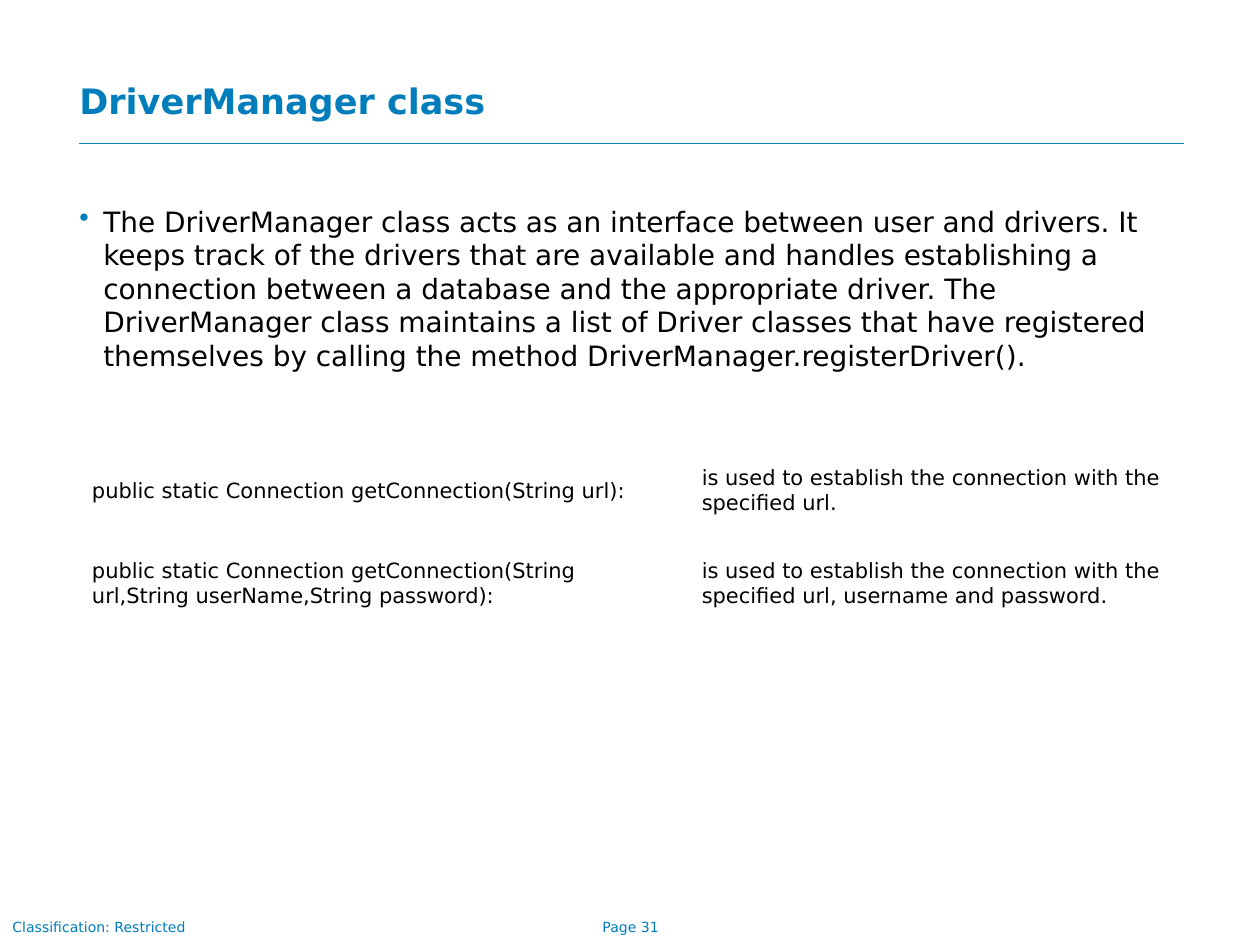
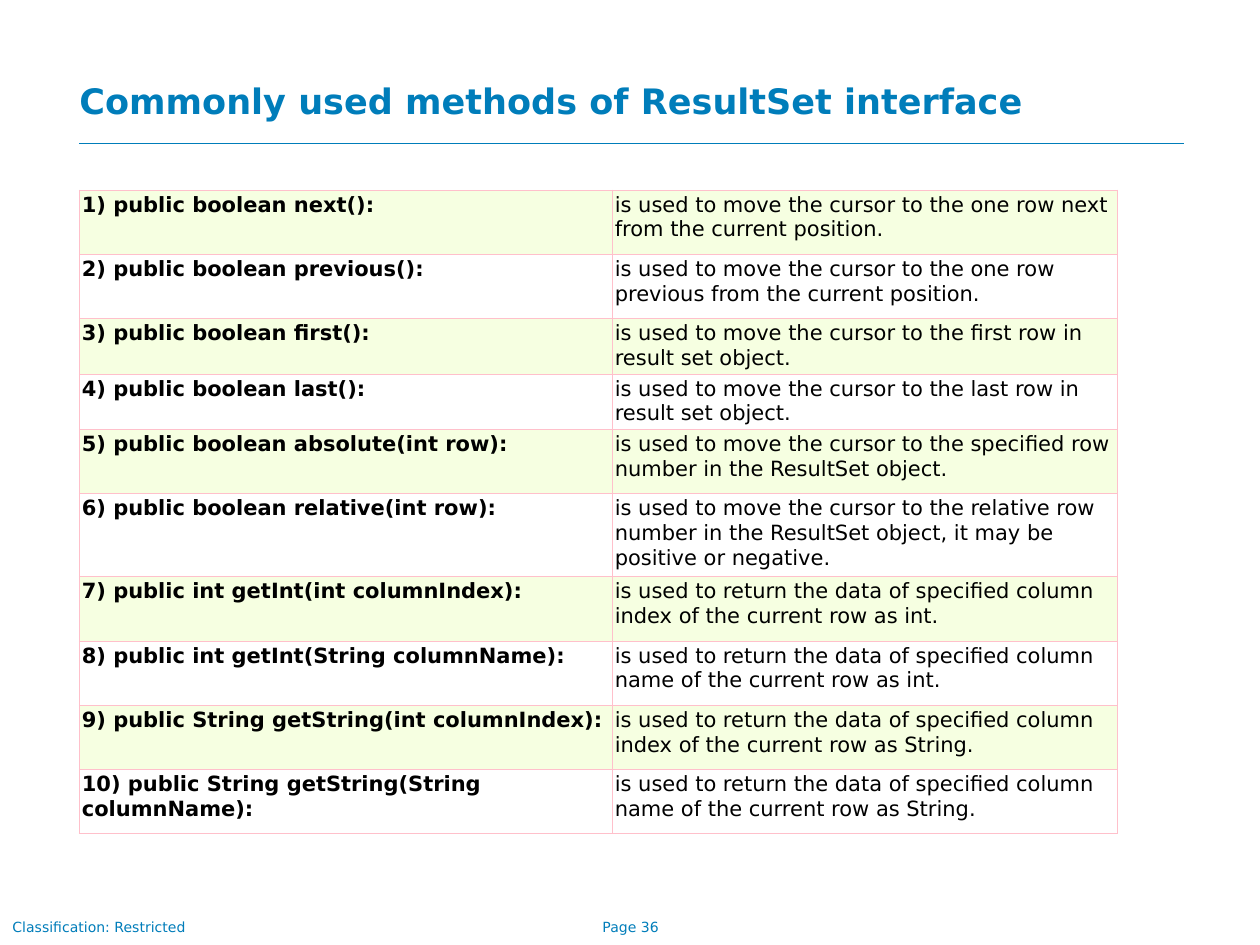
from lxml import etree
from pptx import Presentation
from pptx import util as u
from pptx.dml.color import RGBColor
from pptx.enum import shapes, text
from pptx.oxml.ns import qn

BLUE = RGBColor(0x00, 0x7D, 0xBA)
BLACK = RGBColor(0x00, 0x00, 0x00)
WHITE = RGBColor(0xFF, 0xFF, 0xFF)
LIME = RGBColor(0xF6, 0xFF, 0xE1)
PINK = RGBColor(0xFF, 0xC0, 0xCB)
FONT = "DejaVu Sans"
LEFT, WIDTH = 0.63, 8.78

DRIVER_TEXT = (
    "The DriverManager class acts as an interface between user and drivers. "
    "It keeps track of the drivers that are available and handles establishing "
    "a connection between a database and the appropriate driver. The "
    "DriverManager class maintains a list of Driver classes that have "
    "registered themselves by calling the method DriverManager.registerDriver()."
)
CONNECTION_METHODS = [
    ("public static Connection getConnection(String url):",
     "is used to establish the connection with the specified url."),
    ("public static Connection getConnection(String url,String userName,String password):",
     "is used to establish the connection with the specified url, username and password."),
]
# Signature, what it is used to do, row height
RESULTSET_METHODS = [
    ("boolean next()", "move the cursor to the one row next from the current position.", 0.51),
    ("boolean previous()", "move the cursor to the one row previous from the current position.", 0.51),
    ("boolean first()", "move the cursor to the first row in result set object.", 0.36),
    ("boolean last()", "move the cursor to the last row in result set object.", 0.36),
    ("boolean absolute(int row)",
     "move the cursor to the specified row number in the ResultSet object.", 0.51),
    ("boolean relative(int row)",
     "move the cursor to the relative row number in the ResultSet object, "
     "it may be positive or negative.", 0.66),
    ("int getInt(int columnIndex)",
     "return the data of specified column index of the current row as int.", 0.51),
    ("int getInt(String columnName)",
     "return the data of specified column name of the current row as int.", 0.51),
    ("String getString(int columnIndex)",
     "return the data of specified column index of the current row as String.", 0.51),
    ("String getString(String columnName)",
     "return the data of specified column name of the current row as String.", 0.51),
]


def write(tf, words, size=12, color=BLACK, bold=False, align=text.PP_ALIGN.LEFT):
    """Put formatted text in the first paragraph of a frame."""
    p = tf.paragraphs[0]
    p.alignment = align
    r = p.add_run()
    r.text = words
    r.font.name, r.font.size, r.font.bold = FONT, u.Pt(size), bold
    r.font.color.rgb = color
    return p


class Deck:
    def __init__(self):
        self.prs = Presentation()
        self.prs.slide_width, self.prs.slide_height = u.Inches(10), u.Inches(7.5)
        self.s = None

    def slide(self, title, page):
        """Start a slide with its rule, footers and title."""
        self.s = self.prs.slides.add_slide(self.prs.slide_layouts[6])
        self.rule(LEFT, 1.14, 9.4)
        self.box(4.3, 7.24, 1.41, 0.23, f"Page {page}", inset=(0.1, 0.05),
                 size=8, color=BLUE, align=text.PP_ALIGN.CENTER)
        self.box(0, 7.24, 1.58, 0.23, "Classification: Restricted",
                 inset=(0.1, 0.05), wrap=False, size=8, color=BLUE)
        self.box(LEFT, 0.63, WIDTH, 0.51, title, size=20, color=BLUE, bold=True)

    def rule(self, x1, y, x2):
        line = self.s.shapes.add_connector(
            shapes.MSO_CONNECTOR.STRAIGHT,
            u.Inches(x1), u.Inches(y), u.Inches(x2), u.Inches(y))
        line.line.color.rgb = BLUE
        line.line.width = u.Pt(0.5)
        etree.SubElement(line._element.spPr, qn("a:effectLst"))

    def box(self, x, y, w, h, words, inset=(0, 0), wrap=True, **style):
        sp = self.s.shapes.add_textbox(*map(u.Inches, (x, y, w, h)))
        tf = sp.text_frame
        tf.word_wrap = wrap
        tf.margin_left = tf.margin_right = u.Inches(inset[0])
        tf.margin_top = tf.margin_bottom = u.Inches(inset[1])
        return write(tf, words, **style)

    def bullet(self, x, y, w, h, words, **style):
        p = self.box(x, y, w, h, words, **style)
        pPr = p._p.get_or_add_pPr()
        indent = u.Inches(0.19)
        pPr.set("marL", str(indent))
        pPr.set("indent", str(-indent))
        color = etree.SubElement(pPr, qn("a:buClr"))
        etree.SubElement(color, qn("a:srgbClr"), val=str(BLUE))
        etree.SubElement(pPr, qn("a:buChar"), char="•")

    def table(self, x, y, cols, heights, rows, fills=(WHITE,), inset=(0.1, 0.05),
              anchor=text.MSO_ANCHOR.TOP, border=None, bold_first=False):
        frame = self.s.shapes.add_table(
            len(rows), len(cols), *map(u.Inches, (x, y, sum(cols), sum(heights))))
        tbl = frame.table
        tbl.first_row = tbl.horz_banding = False
        for column, width in zip(tbl.columns, cols):
            column.width = u.Inches(width)
        for i, (row, height) in enumerate(zip(rows, heights)):
            tbl.rows[i].height = u.Inches(height)
            for j, words in enumerate(row):
                cell = tbl.cell(i, j)
                cell.margin_left = cell.margin_right = u.Inches(inset[0])
                cell.margin_top = cell.margin_bottom = u.Inches(inset[1])
                cell.vertical_anchor = anchor
                if border:
                    self.borders(cell, border)
                cell.fill.solid()
                cell.fill.fore_color.rgb = fills[i % len(fills)]
                write(cell.text_frame, words, bold=bold_first and j == 0)

    def borders(self, cell, color):
        tcPr = cell._tc.get_or_add_tcPr()
        for side in ("lnL", "lnR", "lnT", "lnB"):
            ln = etree.SubElement(tcPr, qn(f"a:{side}"), w=str(u.Pt(0.75)))
            fill = etree.SubElement(ln, qn("a:solidFill"))
            etree.SubElement(fill, qn("a:srgbClr"), val=str(color))


def main():
    deck = Deck()

    # DriverManager
    deck.slide("DriverManager class", 31)
    deck.table(LEFT, 3.59, (4.84, 3.94), (0.61, 0.87), CONNECTION_METHODS,
               anchor=text.MSO_ANCHOR.MIDDLE)
    deck.bullet(LEFT, 1.62, WIDTH, 3.94, DRIVER_TEXT, size=16)

    # ResultSet methods
    deck.slide("Commonly used methods of ResultSet interface", 36)
    rows = [(f"{n}) public {signature}:", f"is used to {purpose}")
            for n, (signature, purpose, _) in enumerate(RESULTSET_METHODS, 1)]
    heights = [height for *_, height in RESULTSET_METHODS]
    deck.table(LEFT, 1.51, (4.23, 4.01), heights, rows, fills=(LIME, WHITE),
               inset=(0.02, 0.02), border=PINK, bold_first=True)

    deck.prs.save("out.pptx")


if __name__ == "__main__":
    main()
